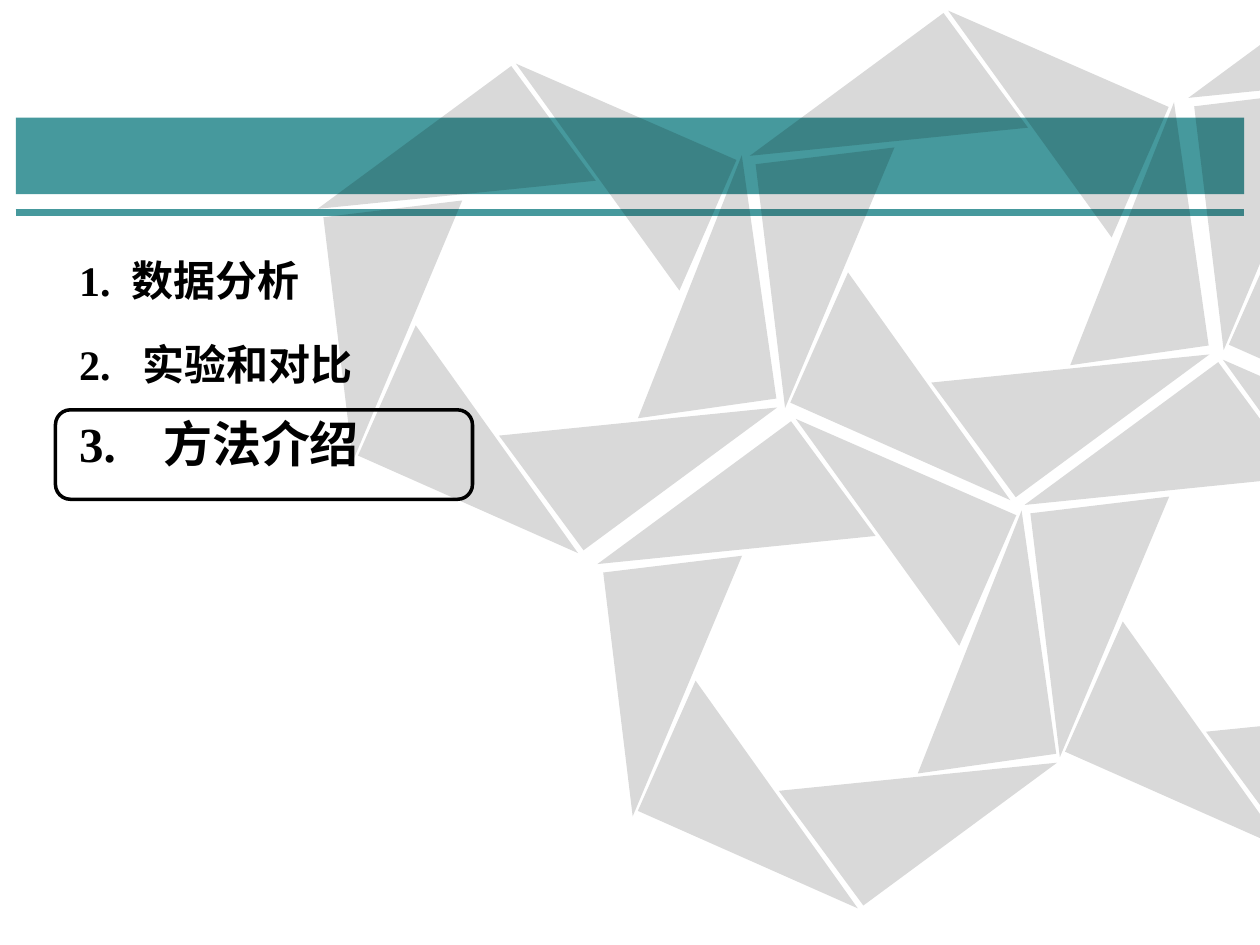
import pptx
import pptx.util
from lxml import etree
from pptx.dml.color import RGBColor
from pptx.enum.shapes import MSO_CONNECTOR, MSO_SHAPE
from pptx.oxml.ns import qn
from pptx.util import Pt

TEAL = RGBColor(0x46, 0x99, 0x9D)
BLACK = RGBColor(0, 0, 0)
FONT = "Times New Roman"

# number, heading, size, tab stop after the number
AGENDA = [
    ("1.", "数据分析", 24, 30),
    ("2.", "实验和对比", 24, 36),
    ("3.", "方法介绍", 28, 48),
]

# offset from the rosette's corner, width, height, rotation
BLADES = [
    (0, 0, 137.5, 81.4, 143.6),
    (-29.5, 78.5, 140.4, 79.9, 83.1),
    (23, 139.7, 137.5, 81.4, 23.9),
    (103.7, 129.6, 137.5, 81.4, 323.6),
    (131.8, 53.3, 140.4, 79.9, 261.9),
    (80.6, -10.1, 137.5, 81.4, 203.6),
]

# corner of each rosette and the blades it shows
ROSETTES = [
    (352.1, 273.6, (0, 1, 2, 3, 4, 5)),
    (596.2, 239.8, (0, 1, 2, 3, 5)),
    (439.2, 40.3, (0, 1, 2, 3, 4, 5)),
    (689.8, 7.2, (0, 1, 2)),
    (192.2, 70.6, (0, 1, 2, 3, 4, 5)),
]


def add_shape(shapes, kind, left, top, width, height, fill=None, line=None,
              weight=1, alpha=None, rotation=0):
    shape = shapes.add_shape(kind, Pt(left), Pt(top), Pt(width), Pt(height))
    shape.shadow.inherit = False
    shape.rotation = rotation
    if fill is None:
        shape.fill.background()
    else:
        shape.fill.solid()
        shape.fill.fore_color.rgb = fill
    if alpha is not None:
        color = shape.fill._xPr.find(qn("a:solidFill"))[0]
        etree.SubElement(color, qn("a:alpha"), val=str(alpha * 1000))
    if line is None:
        shape.line.fill.background()
    else:
        shape.line.color.rgb = line
        shape.line.width = Pt(weight)
    return shape


def write_line(para, text, size, color=BLACK, bold=True, tab=None, before=0):
    para.line_spacing = Pt(38)
    para.space_before = Pt(before)
    if tab is not None:
        stops = etree.SubElement(para._p.get_or_add_pPr(), qn("a:tabLst"))
        etree.SubElement(stops, qn("a:tab"), pos=str(Pt(tab)), algn="l")
    span = para.add_run()
    span.text = text
    span.font.name = FONT
    span.font.size = Pt(size)
    span.font.bold = bold
    span.font.color.rgb = color


def add_rule(shapes, left, right, y, color, weight):
    rule = shapes.add_connector(MSO_CONNECTOR.STRAIGHT, Pt(left), Pt(y), Pt(right), Pt(y))
    rule.line.color.rgb = color
    rule.line.width = Pt(weight)
    etree.SubElement(rule._element.spPr, qn("a:effectLst"))


def add_agenda(shapes):
    box = shapes.add_textbox(Pt(38.2), Pt(132.5), Pt(656), Pt(329))
    box.text_frame.word_wrap = True
    for index, (number, heading, size, tab) in enumerate(AGENDA):
        para = box.text_frame.add_paragraph() if index else box.text_frame.paragraphs[0]
        write_line(para, f"{number}\t{heading}", size, tab=tab, before=10 if index else 0)


def add_rosette(shapes, left, top, shown):
    group = shapes.add_group_shape()
    for index in shown:
        dx, dy, width, height, rotation = BLADES[index]
        add_shape(group.shapes, MSO_SHAPE.RIGHT_TRIANGLE, left + dx, top + dy,
                  width, height, fill=BLACK, alpha=15, rotation=rotation)


def main():
    deck = pptx.Presentation()
    deck.slide_width, deck.slide_height = Pt(720), Pt(540)
    page = deck.slides.add_slide(deck.slide_layouts[6])
    add_shape(page.shapes, MSO_SHAPE.RECTANGLE, 9, 67.2, 702, 43.8, fill=TEAL)
    add_rule(page.shapes, 9, 711, 121.5, TEAL, 3.75)
    add_agenda(page.shapes)
    for left, top, shown in ROSETTES:
        add_rosette(page.shapes, left, top, shown)
    add_shape(page.shapes, MSO_SHAPE.ROUNDED_RECTANGLE, 31.7, 234.2, 238.3, 51.1,
              line=BLACK, weight=2)
    deck.save("out.pptx")


if __name__ == "__main__":
    main()
